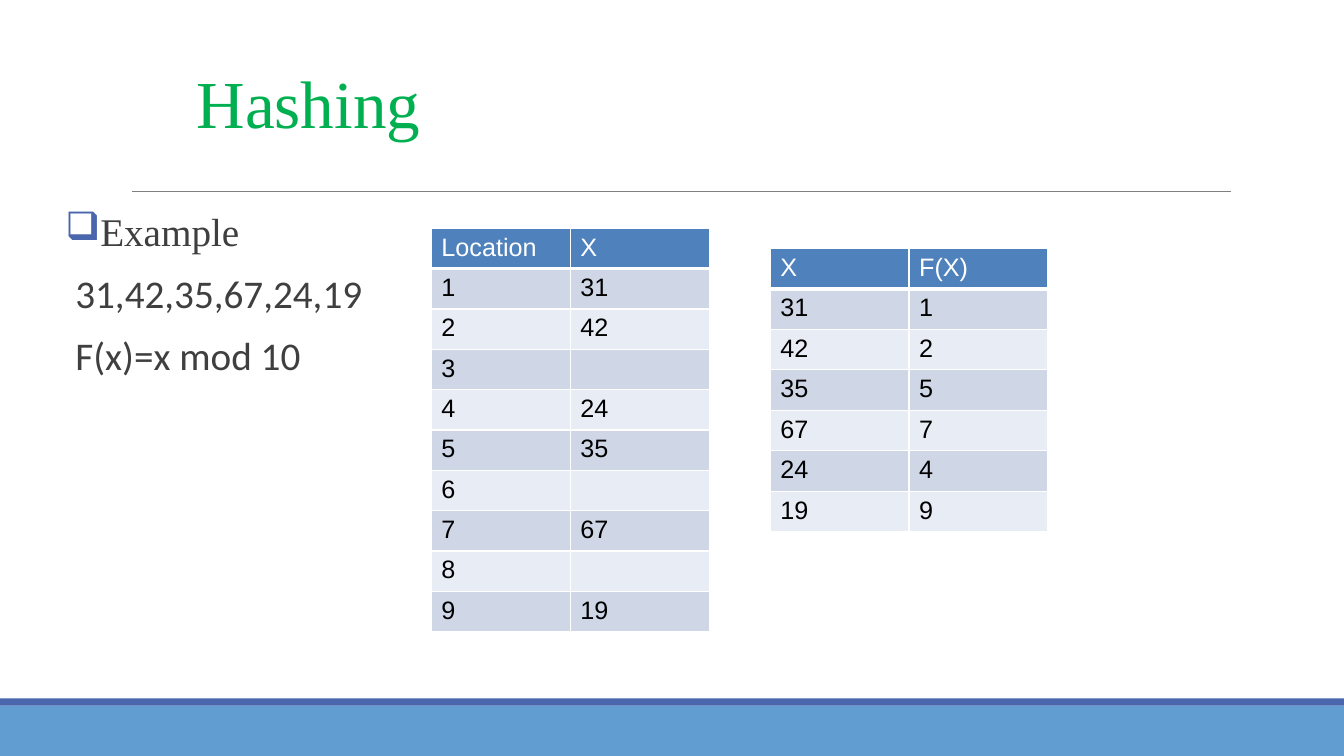
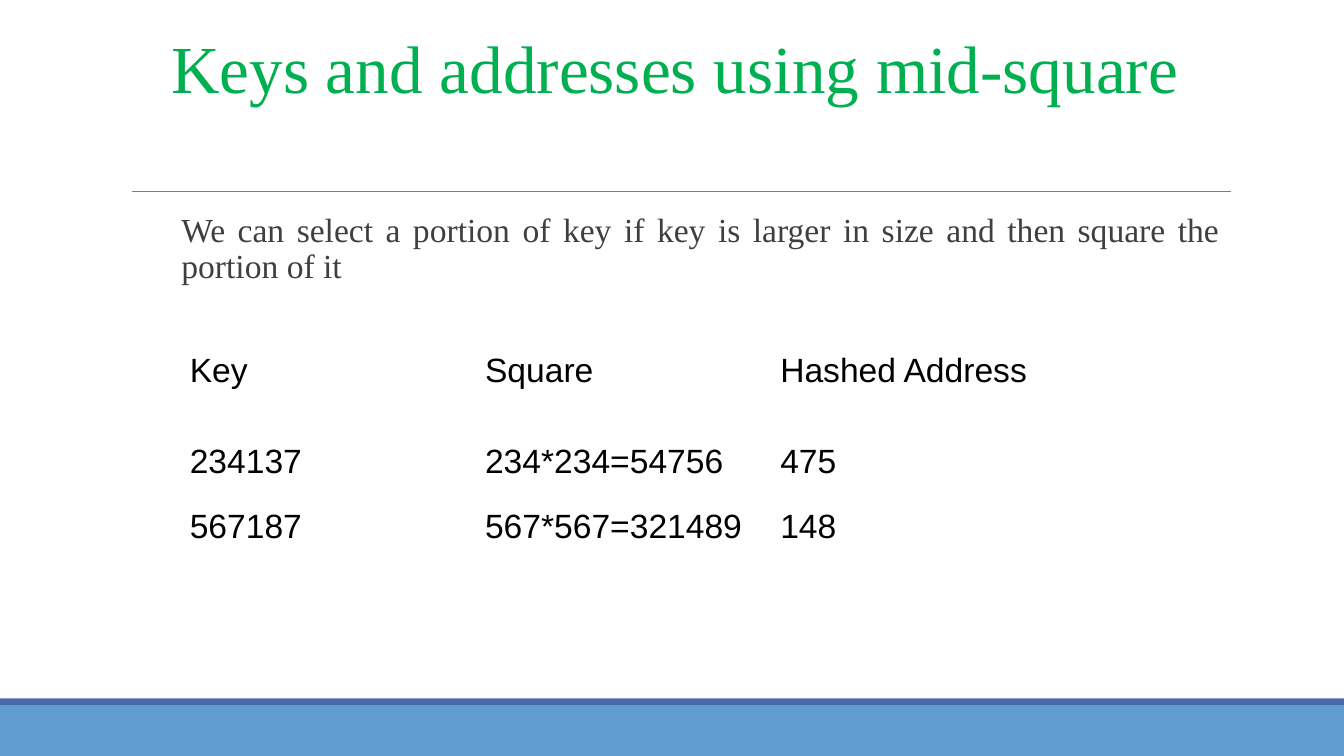
import lxml.etree
import pptx
import pptx.dml.color
import pptx.enum.shapes
import pptx.enum.text
import pptx.oxml.ns
import pptx.util

Cm = pptx.util.Cm
Pt = pptx.util.Pt
RGBColor = pptx.dml.color.RGBColor
qn = pptx.oxml.ns.qn

# Colours
BLUE_BAND = RGBColor(0x62, 0x9D, 0xD1)
INDIGO = RGBColor(0x4A, 0x66, 0xAC)
RULE_GREY = RGBColor(0x7F, 0x7F, 0x7F)
TITLE_GREEN = RGBColor(0x00, 0xB0, 0x50)
BODY_GREY = RGBColor(0x3F, 0x3F, 0x3F)
HEADER_BLUE = RGBColor(0x4F, 0x81, 0xBD)
ROW_DARK = RGBColor(0xCF, 0xD7, 0xE7)
ROW_LIGHT = RGBColor(0xE8, 0xEC, 0xF4)
WHITE = RGBColor(0xFF, 0xFF, 0xFF)
BLACK = RGBColor(0x00, 0x00, 0x00)

# Fonts and page
SERIF = "Times New Roman"
SANS = "Arial"
BODY_FONT = "Calibri"
SLIDE_WIDTH = Cm(33.87)
SLIDE_HEIGHT = Cm(19.05)
TITLE_ONLY = 5


def format_paragraph(paragraph, font_name, size, color):
    for run in paragraph.runs:
        run.font.name = font_name
        run.font.size = Pt(size)
        run.font.color.rgb = color


def add_band(slide, top, height, color):
    band = slide.shapes.add_shape(
        pptx.enum.shapes.MSO_SHAPE.RECTANGLE, 0, top, SLIDE_WIDTH, height)
    band.shadow.inherit = False
    band.fill.solid()
    band.fill.fore_color.rgb = color
    band.line.fill.background()
    return band


def add_rule(slide, left, right, top):
    rule = slide.shapes.add_connector(
        pptx.enum.shapes.MSO_CONNECTOR.STRAIGHT, left, top, right, top)
    rule.line.color.rgb = RULE_GREY
    rule.line.width = Pt(0.75)
    lxml.etree.SubElement(rule.element.spPr, qn("a:effectLst"))
    return rule


def decorate_layout(layout, slide):
    """Draw the bands and the rule once and hand them to the shared layout."""
    decorations = [
        add_band(slide, Cm(17.78), Cm(1.27), BLUE_BAND),
        add_band(slide, Cm(17.6), Cm(0.18), INDIGO),
        add_rule(slide, Cm(3.33), Cm(31.01), Cm(4.83)),
    ]
    for shape in decorations:
        layout.shapes.element.append(shape.element)


def set_title(slide, text, left, top, height):
    title = slide.shapes.title
    title.left, title.top, title.width, title.height = left, top, Cm(27.94), height
    frame = title.text_frame
    frame.text = text
    frame.auto_size = pptx.enum.text.MSO_AUTO_SIZE.NONE
    frame.vertical_anchor = pptx.enum.text.MSO_ANCHOR.BOTTOM
    paragraph = frame.paragraphs[0]
    paragraph.alignment = pptx.enum.text.PP_ALIGN.LEFT
    paragraph.line_spacing = 0.85
    format_paragraph(paragraph, SERIF, 48, TITLE_GREEN)


def add_body(slide, left, top, width, height, margin_side, margin_top, lines, size):
    """Add a text box; lines holds (text, font name) pairs."""
    frame = slide.shapes.add_textbox(left, top, width, height).text_frame
    frame.word_wrap = True
    frame.margin_left = frame.margin_right = margin_side
    frame.margin_top = frame.margin_bottom = margin_top
    for index, (text, font_name) in enumerate(lines):
        paragraph = frame.add_paragraph() if index else frame.paragraphs[0]
        paragraph.text = text
        paragraph.line_spacing = 0.9
        if index:
            paragraph.space_before = Pt(14)
        format_paragraph(paragraph, font_name, size, BODY_GREY)
    return frame


def indent(paragraph, margin, first_line=0):
    properties = paragraph._p.get_or_add_pPr()
    properties.set("marL", str(margin))
    properties.set("indent", str(first_line))
    return properties


def add_bullet(paragraph, character, margin):
    properties = indent(paragraph, margin, -margin)
    color = lxml.etree.SubElement(properties, qn("a:buClr"))
    lxml.etree.SubElement(color, qn("a:srgbClr"), val=str(INDIGO))
    lxml.etree.SubElement(properties, qn("a:buChar"), char=character)


def set_border(cell, side, width):
    properties = cell._tc.get_or_add_tcPr()
    line = lxml.etree.SubElement(properties, qn("a:ln" + side), w=str(Pt(width)))
    fill = lxml.etree.SubElement(line, qn("a:solidFill"))
    lxml.etree.SubElement(fill, qn("a:srgbClr"), val=str(WHITE))


def style_banded_cell(cell, row_index):
    heavy_side = {0: "B", 1: "T"}.get(row_index)
    for side in "LRTB":
        set_border(cell, side, 3 if side == heavy_side else 1)
    cell.fill.solid()
    if row_index == 0:
        cell.fill.fore_color.rgb = HEADER_BLUE
    else:
        cell.fill.fore_color.rgb = ROW_DARK if row_index % 2 else ROW_LIGHT


def add_table(slide, left, top, column_width, row_heights, rows, size, banded):
    columns = len(rows[0])
    table = slide.shapes.add_table(
        len(rows), columns, left, top,
        column_width * columns, sum(row_heights)).table
    table.first_row = False
    table.horz_banding = False
    for column in table.columns:
        column.width = column_width
    for row_index, values in enumerate(rows):
        table.rows[row_index].height = row_heights[row_index]
        for column_index, value in enumerate(values):
            cell = table.cell(row_index, column_index)
            cell.text = value
            if banded:
                style_banded_cell(cell, row_index)
            else:
                cell.fill.background()
            color = WHITE if banded and row_index == 0 else BLACK
            format_paragraph(cell.text_frame.paragraphs[0], SANS, size, color)


def build_hashing(slide):
    set_title(slide, "Hashing", Cm(4.7), Cm(1.02), Cm(2.69))
    frame = add_body(
        slide, Cm(1.65), Cm(5.23), Cm(8.56), Cm(10.41), 0, Cm(0.13),
        [("Example", SERIF),
         ("31,42,35,67,24,19", BODY_FONT),
         ("F(x)=x mod 10", BODY_FONT)], 28)
    heading, *details = frame.paragraphs
    add_bullet(heading, "❑", Cm(0.25))
    for paragraph in details:
        indent(paragraph, Cm(0.25))

    # Each key and its hash, then the slots those hashes fill
    keys = [31, 42, 35, 67, 24, 19]
    key_at = {key % 10: str(key) for key in keys}
    slots = [("Location", "X")]
    slots += [(str(slot), key_at.get(slot, "")) for slot in range(1, 10)]
    hashes = [("X", "F(X)")] + [(str(key), str(key % 10)) for key in keys]
    add_table(slide, Cm(10.87), Cm(5.75), Cm(3.5),
              [Cm(0.96)] * len(slots), slots, 18, True)
    add_table(slide, Cm(19.41), Cm(6.26), Cm(3.5),
              [Cm(1.02)] * len(hashes), hashes, 18, True)


def build_mid_square(slide):
    set_title(slide, "Keys and addresses using mid-square",
              Cm(4.06), Cm(0.86), Cm(1.98))
    frame = add_body(
        slide, Cm(3.05), Cm(5.13), Cm(27.94), Cm(11.18), Cm(0.25), Cm(0.25),
        [("We can select a portion of key if key is larger in size and then "
          "square the portion of it", SERIF)], 24)
    paragraph = frame.paragraphs[0]
    paragraph.alignment = pptx.enum.text.PP_ALIGN.JUSTIFY
    indent(paragraph, Cm(1.27))

    rows = [("Key", "Square", "Hashed Address"),
            ("234137", "234*234=54756", "475"),
            ("567187", "567*567=321489", "148")]
    add_table(slide, Cm(4.53), Cm(8.74), Cm(7.44),
              [Cm(2.31), Cm(1.63), Cm(2.31)], rows, 24, False)


def main():
    presentation = pptx.Presentation()
    presentation.slide_width = SLIDE_WIDTH
    presentation.slide_height = SLIDE_HEIGHT
    layout = presentation.slide_layouts[TITLE_ONLY]
    for index, build in enumerate([build_hashing, build_mid_square]):
        slide = presentation.slides.add_slide(layout)
        if index == 0:
            decorate_layout(layout, slide)
        build(slide)
    presentation.save("out.pptx")


if __name__ == "__main__":
    main()
